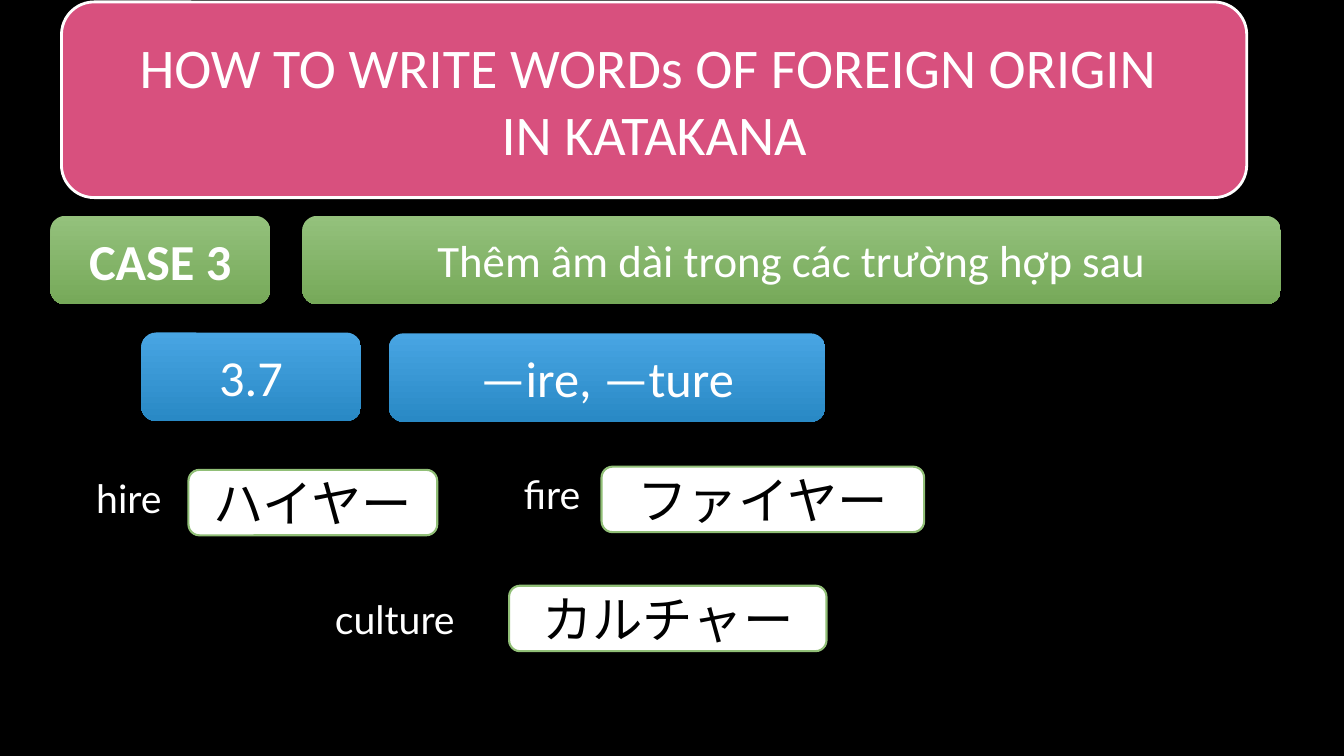
from pptx import Presentation
from pptx.dml.color import RGBColor
from pptx.enum import shapes, text
from pptx.util import Cm, Pt

BLACK = RGBColor(0x00, 0x00, 0x00)
WHITE = RGBColor(0xFF, 0xFF, 0xFF)
PINK = RGBColor(0xD8, 0x50, 0x7E)
EDGE = RGBColor(0x91, 0xBF, 0x77)
GREEN = (RGBColor(0x94, 0xC1, 0x7C), RGBColor(0x76, 0xA9, 0x59))
BLUE = (RGBColor(0x48, 0xA5, 0xE3), RGBColor(0x29, 0x89, 0xC5))

deck = Presentation()
deck.slide_width, deck.slide_height = Cm(33.87), Cm(19.05)
slide = deck.slides.add_slide(deck.slide_layouts[6])
slide.background.fill.solid()
slide.background.fill.fore_color.rgb = BLACK


def add_box(words, left, top, width, height, size, font="Calibri",
            color=WHITE, fill=None, edge=None, weight=1.5, bold=False):
    """Add a rounded box; fill is None, one colour or a pair for a gradient."""
    box = slide.shapes.add_shape(shapes.MSO_SHAPE.ROUNDED_RECTANGLE,
                                 Cm(left), Cm(top), Cm(width), Cm(height))
    box.shadow.inherit = False
    if fill is None:
        box.fill.background()
    elif isinstance(fill, RGBColor):
        box.fill.solid()
        box.fill.fore_color.rgb = fill
    else:
        box.fill.gradient()
        box.fill.gradient_angle = 270
        for stop, shade in zip(box.fill.gradient_stops, fill):
            stop.color.rgb = shade
    if edge is None:
        box.line.fill.background()
    else:
        box.line.color.rgb = edge
        box.line.width = Pt(weight)
    frame = box.text_frame
    frame.vertical_anchor = text.MSO_ANCHOR.MIDDLE
    frame.text = words
    for para in frame.paragraphs:
        para.alignment = text.PP_ALIGN.CENTER
        para.font.name = font
        para.font.size = Pt(size)
        para.font.bold = bold
        para.font.color.rgb = color


# Title
add_box("HOW TO WRITE WORDs OF FOREIGN ORIGIN \nIN KATAKANA",
        1.55, 0.05, 29.87, 4.93, 40, fill=PINK, edge=WHITE, weight=2)

# Case and rule banners
banners = [
    ("CASE 3", 1.27, 5.44, 5.54, 36, GREEN, True),
    ("Thêm âm dài trong các trường hợp sau", 7.62, 5.44, 24.66, 32, GREEN, False),
    ("3.7", 3.56, 8.38, 5.54, 36, BLUE, False),
    ("—ire, —ture", 9.8, 8.4, 11, 36, BLUE, False),
]
for words, left, top, width, size, fill, bold in banners:
    add_box(words, left, top, width, 2.23, size, fill=fill, bold=bold)

# Each English word with its katakana: (text, left, top, width)
pairs = [
    (("hire", 1.47, 11.71, 3.56), ("ハイヤー", 4.75, 11.84, 6.27)),
    (("fire", 12.12, 11.61, 3.58), ("ファイヤー", 15.16, 11.76, 8.13)),
    (("culture", 7.09, 14.76, 5.72), ("カルチャー", 12.83, 14.76, 8)),
]
for word, kana in pairs:
    add_box(*word, 1.65, 28, font="Lato")
    add_box(*kana, 1.65, 36, font="Lato", color=BLACK, fill=WHITE, edge=EDGE)

deck.save("out.pptx")
